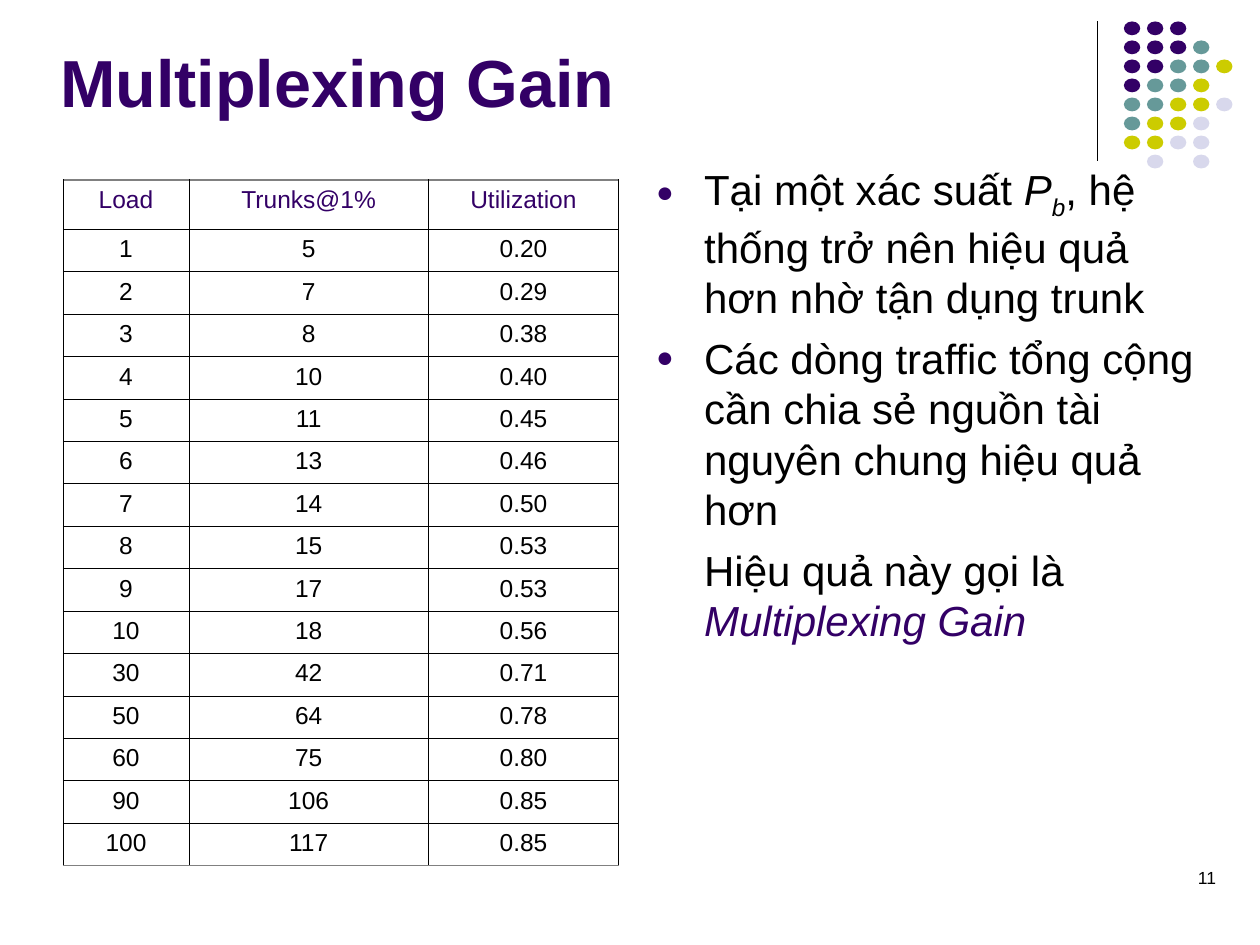
from dataclasses import dataclass

from lxml import etree
from pptx import Presentation
from pptx import util as u
from pptx.dml.color import RGBColor
from pptx.enum import shapes, text
from pptx.oxml.ns import qn

PURPLE = RGBColor(0x33, 0x00, 0x66)
TEAL = RGBColor(0x66, 0x99, 0x99)
OLIVE = RGBColor(0xCC, 0xCC, 0x00)
LILAC = RGBColor(0xD8, 0xD8, 0xEC)
BLACK = RGBColor(0, 0, 0)
GRAY = RGBColor(0x80, 0x80, 0x80)
FONT = "Arial"


@dataclass(frozen=True)
class Run:
    text: str
    size: float
    color: RGBColor = BLACK
    bold: bool = False
    italic: bool = False
    baseline: int = 0


@dataclass(frozen=True)
class Para:
    runs: tuple[Run, ...]
    align: text.PP_ALIGN = text.PP_ALIGN.LEFT
    before: float = 0
    indent: float = 0
    bullet: bool = False


@dataclass(frozen=True)
class Border:
    tag: str
    color: RGBColor
    width: float


def fill_para(p, para: Para) -> None:
    p.alignment = para.align
    p.space_before = u.Pt(para.before)
    pPr = p._p.get_or_add_pPr()
    if para.indent:
        pPr.set("marL", str(u.Inches(para.indent)))
    if para.bullet:
        pPr.set("indent", str(-u.Inches(para.indent)))
        clr = etree.SubElement(pPr, qn("a:buClr"))
        etree.SubElement(clr, qn("a:srgbClr"), val=str(PURPLE))
        etree.SubElement(pPr, qn("a:buSzPct"), val="70000")
        etree.SubElement(pPr, qn("a:buFont"), typeface=FONT)
        etree.SubElement(pPr, qn("a:buChar"), char="●")
    for run in para.runs:
        r = p.add_run()
        r.text = run.text
        r.font.name = FONT
        r.font.size = u.Pt(run.size)
        r.font.color.rgb = run.color
        r.font.bold = run.bold
        r.font.italic = run.italic
        if run.baseline:
            r.font._element.set("baseline", str(run.baseline * 1000))


def add_text(s, x: float, y: float, w: float, h: float, paras: list[Para],
             anchor: text.MSO_ANCHOR = text.MSO_ANCHOR.TOP) -> None:
    sp = s.shapes.add_textbox(u.Inches(x), u.Inches(y), u.Inches(w), u.Inches(h))
    tf = sp.text_frame
    tf.word_wrap = True
    tf.vertical_anchor = anchor
    for i, para in enumerate(paras):
        fill_para(tf.add_paragraph() if i else tf.paragraphs[0], para)


def add_rule(s, x: float, top: float, bottom: float) -> None:
    line = s.shapes.add_connector(shapes.MSO_CONNECTOR.STRAIGHT, u.Inches(x),
                                  u.Inches(top), u.Inches(x), u.Inches(bottom))
    line.line.color.rgb = BLACK
    line.line.width = u.Pt(0.74)
    etree.SubElement(line._element.spPr, qn("a:effectLst"))


def add_dots(s, x: float, y: float, rows: list[str]) -> None:
    colors = {"P": PURPLE, "T": TEAL, "O": OLIVE, "L": LILAC}
    group = s.shapes.add_group_shape()
    for i, row in enumerate(rows):
        for j, key in enumerate(row):
            if key not in colors:
                continue
            sp = group.shapes.add_shape(
                shapes.MSO_SHAPE.OVAL, u.Inches(x + j * 0.183),
                u.Inches(y + i * 0.151), u.Inches(0.13), u.Inches(0.11))
            sp.shadow.inherit = False
            sp.fill.solid()
            sp.fill.fore_color.rgb = colors[key]
            sp.line.fill.background()


def set_border(cell, border: Border) -> None:
    ln = etree.SubElement(cell._tc.get_or_add_tcPr(), qn(f"a:{border.tag}"),
                          w=str(u.Pt(border.width)))
    solid = etree.SubElement(ln, qn("a:solidFill"))
    etree.SubElement(solid, qn("a:srgbClr"), val=str(border.color))


def add_load_table(s, rows: list[tuple[str, ...]]) -> None:
    widths = (1.0, 1.9, 1.51)
    height, head = 5.44, 0.39
    last = len(rows) - 1
    frame = s.shapes.add_table(len(rows), len(widths), u.Inches(0.5), u.Inches(1.43),
                               u.Inches(sum(widths)), u.Inches(height))
    table = frame.table
    table.first_row = table.horz_banding = False
    for col, width in zip(table.columns, widths):
        col.width = u.Inches(width)
    outer = (GRAY, 0.96)
    inner = (BLACK, 0.34)
    under_head = (BLACK, 0.45)
    for i, row in enumerate(rows):
        table.rows[i].height = u.Inches(head if i == 0 else (height - head) / last)
        top = {0: outer, 1: under_head}.get(i, inner)
        bottom = {0: under_head, last: outer}.get(i, inner)
        for j, value in enumerate(row):
            cell = table.cell(i, j)
            for tag, style in (("lnL", inner), ("lnR", inner),
                               ("lnT", top), ("lnB", bottom)):
                set_border(cell, Border(tag, *style))
            cell.fill.background()
            run = Run(value, 14, BLACK if i else PURPLE)
            fill_para(cell.text_frame.paragraphs[0], Para((run,), text.PP_ALIGN.CENTER))


LOADS = [
    ("Load", "Trunks@1%", "Utilization"),
    ("1", "5", "0.20"),
    ("2", "7", "0.29"),
    ("3", "8", "0.38"),
    ("4", "10", "0.40"),
    ("5", "11", "0.45"),
    ("6", "13", "0.46"),
    ("7", "14", "0.50"),
    ("8", "15", "0.53"),
    ("9", "17", "0.53"),
    ("10", "18", "0.56"),
    ("30", "42", "0.71"),
    ("50", "64", "0.78"),
    ("60", "75", "0.80"),
    ("90", "106", "0.85"),
    ("100", "117", "0.85"),
]
POINTS = [
    Para((Run("Ta\u0323i m\u00f4\u0323t xa\u0301c su\u00e2\u0301t ", 24),
          Run("P", 24, italic=True),
          Run("b", 24, italic=True, baseline=-25),
          Run(", h\u00ea\u0323 th\u00f4\u0301ng tr\u01a1\u0309 n\u00ean "
              "hi\u00ea\u0323u qua\u0309 h\u01a1n nh\u01a1\u0300 "
              "t\u00e2\u0323n du\u0323ng trunk", 24)),
         before=6, indent=0.38, bullet=True),
    Para((Run("Ca\u0301c do\u0300ng traffic t\u00f4\u0309ng c\u00f4\u0323ng "
              "c\u00e2\u0300n chia se\u0309 ngu\u00f4\u0300n t\u00e0i "
              "nguy\u00ean chung hi\u00ea\u0323u qua\u0309 h\u01a1n", 24),),
         before=6, indent=0.38, bullet=True),
    Para((Run("Hi\u00ea\u0323u qua\u0309 na\u0300y go\u0323i la\u0300 ", 24),
          Run("Multiplexing Gain", 24, PURPLE, italic=True)),
         before=6, indent=0.38),
]

prs = Presentation()
prs.slide_width, prs.slide_height = u.Inches(10), u.Inches(7.5)
s = prs.slides.add_slide(prs.slide_layouts[6])

add_rule(s, 8.71, 0.17, 1.28)
add_dots(s, 8.92, 0.17,
         ["PPP", "PPPT", "PPTTO", "PTTO", "TTOOL", "TOOL", "OOLL", ".L.L"])
add_text(s, 0.38, 0.13, 8.37, 0.88,
         [Para((Run("Multiplexing Gain", 38, PURPLE, bold=True),))],
         text.MSO_ANCHOR.BOTTOM)
add_load_table(s, LOADS)
add_text(s, 5.11, 1.25, 4.62, 5.61, POINTS)
add_text(s, 7.42, 6.83, 2.33, 0.5, [Para((Run("11", 10),), text.PP_ALIGN.RIGHT)])

prs.save("out.pptx")
